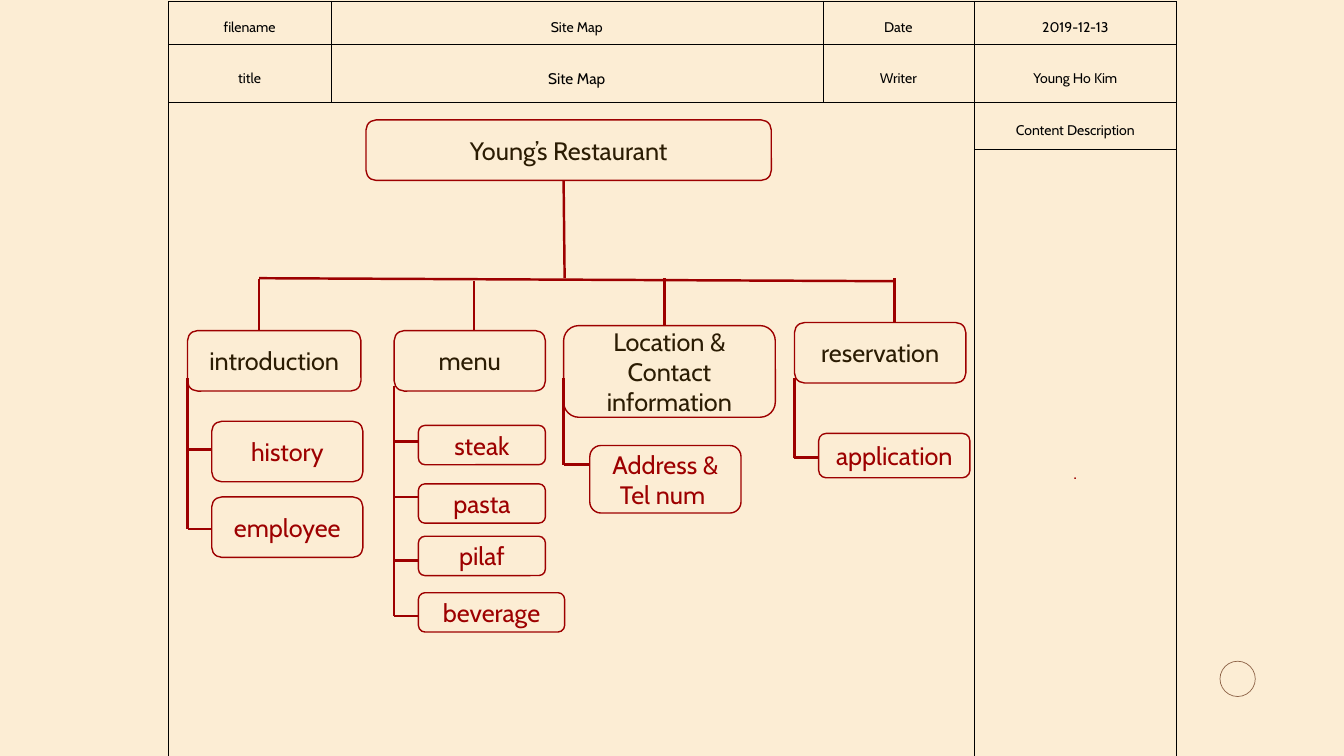
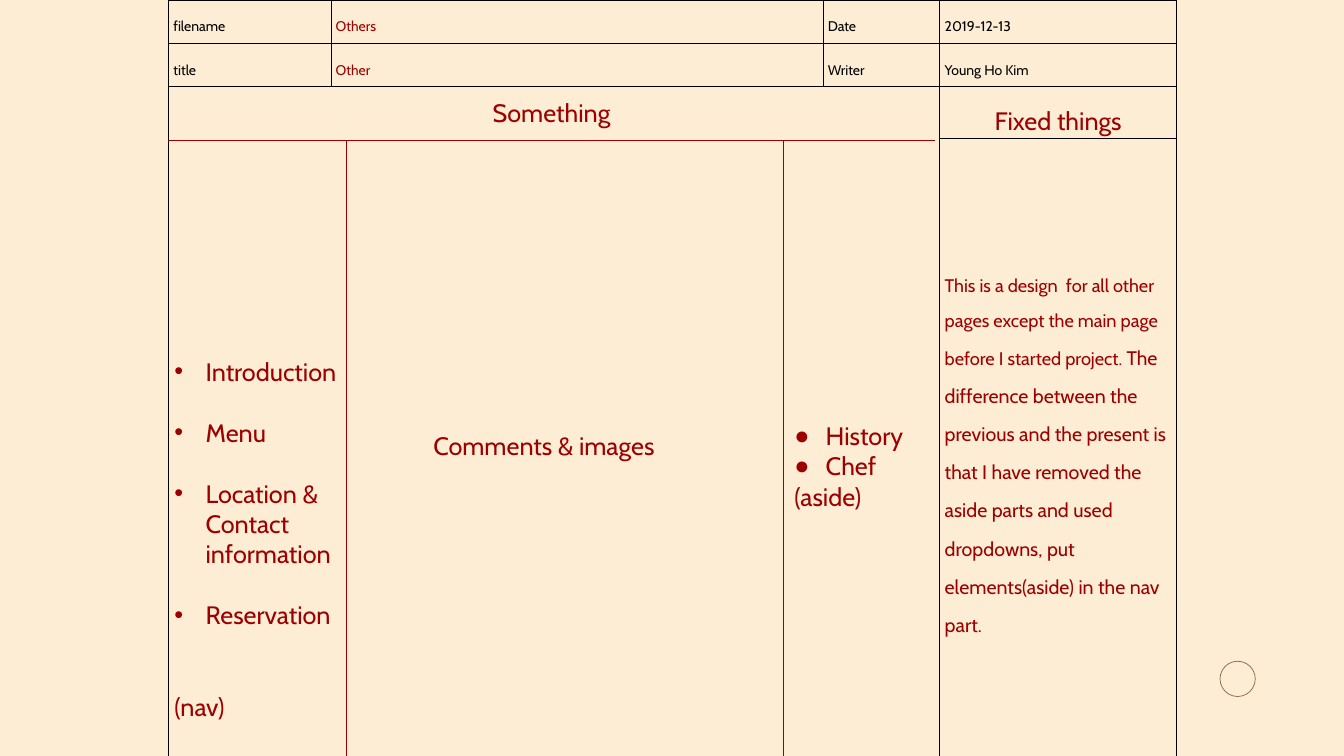
from dataclasses import dataclass

from lxml.etree import SubElement
from pptx import Presentation
from pptx.dml.color import RGBColor
from pptx.enum.shapes import MSO_CONNECTOR, MSO_SHAPE
from pptx.enum.text import MSO_ANCHOR, MSO_AUTO_SIZE, PP_ALIGN
from pptx.oxml import parse_xml
from pptx.oxml.ns import nsdecls, qn
from pptx.util import Inches, Pt

CREAM = RGBColor(0xFC, 0xED, 0xD4)
RED = RGBColor(0x9D, 0x00, 0x00)
BROWN = RGBColor(0x2B, 0x1C, 0x03)
TAN = RGBColor(0x8D, 0x63, 0x47)
BLACK = RGBColor(0x00, 0x00, 0x00)
FONT = "Cabin"
TABLE_LEFT = 1.67
BLANK_LAYOUT, TWO_CONTENT_LAYOUT = 6, 3
CHILD_INDENT = 0.24


@dataclass
class Branch:
    label: str
    box: tuple          # left, top, width, height
    drop: tuple         # x and top of the line coming from the rail
    stem_top: float
    children: list      # label, top, width, height, y of the tick
    indent: float = CHILD_INDENT


BRANCHES = [
    Branch("introduction", (1.86, 3.28, 1.72, 0.6), (2.57, 2.77), 3.75, [
        ("history", 4.18, 1.5, 0.6, 4.46),
        ("employee", 4.93, 1.5, 0.6, 5.25)]),
    Branch("menu", (3.91, 3.28, 1.5, 0.6), (4.7, 2.79), 3.83, [
        ("steak", 4.22, 1.26, 0.39, 4.38),
        ("pasta", 4.8, 1.26, 0.39, 4.93),
        ("pilaf", 5.32, 1.26, 0.39, 5.56),
        ("beverage", 5.88, 1.45, 0.39, 6.11)]),
    Branch("Location &\nContact information", (5.59, 3.23, 2.1, 0.91), (6.59, 2.76), 3.75, [
        ("Address &\nTel num ", 4.42, 1.5, 0.67, 4.61)], 0.26),
    Branch("reservation", (7.88, 3.2, 1.7, 0.6), (8.87, 2.76), 3.75, [
        ("application", 4.3, 1.5, 0.44, 4.54)]),
]


# Shared helpers
def style_span(span, size, color):
    span.font.name = FONT
    span.font.size = Pt(size)
    span.font.color.rgb = color


def style_frame(frame, color, align=PP_ALIGN.CENTER, size=18):
    frame.word_wrap = True
    for para in frame.paragraphs:
        para.alignment = align
        for span in para.runs:
            style_span(span, size, color)


def place(shape, left, top, width, height):
    shape.left, shape.top = Inches(left), Inches(top)
    shape.width, shape.height = Inches(width), Inches(height)


def add_outline(page, kind, box, color, weight):
    shape = page.shapes.add_shape(kind, *map(Inches, box))
    shape.shadow.inherit = False
    shape.fill.background()
    shape.line.color.rgb = color
    shape.line.width = Pt(weight)
    return shape


def add_line(page, start, end, weight):
    line = page.shapes.add_connector(
        MSO_CONNECTOR.STRAIGHT, *map(Inches, start + end))
    line.line.color.rgb = RED
    line.line.width = Pt(weight)
    SubElement(line._element.spPr, qn("a:effectLst"))


def add_page(deck, layout):
    page = deck.slides.add_slide(deck.slide_layouts[layout])
    add_outline(page, MSO_SHAPE.OVAL, (12.1, 6.56, 0.35, 0.35), TAN, 0.5)
    return page


# Document table: two header rows, a wide area and a side column
def add_borders(cell):
    properties = cell._tc.get_or_add_tcPr()
    for index, side in enumerate(("lnL", "lnR", "lnT", "lnB")):
        properties.insert(index, parse_xml(
            f'<a:{side} {nsdecls("a")} w="{Pt(0.28)}"><a:solidFill>'
            f'<a:srgbClr val="{BLACK}"/></a:solidFill></a:{side}>'))


def fill_cell(cell, spans, align):
    cell.vertical_anchor = MSO_ANCHOR.MIDDLE
    cell.margin_left = cell.margin_right = Inches(0.05)
    cell.margin_top = cell.margin_bottom = Inches(0.01)
    para = cell.text_frame.paragraphs[0]
    para.alignment = align
    para.line_spacing = 1.6
    for text, size, color in spans:
        span = para.add_run()
        span.text = text
        style_span(span, size, color)


def add_document_table(page, top, columns, rows, names, side, align):
    """names: spans of the file name and title; side: spans of the side column."""
    table = page.shapes.add_table(
        len(rows), len(columns), Inches(TABLE_LEFT), Inches(top),
        Inches(sum(columns)), Inches(sum(rows))).table
    table.first_row = table.horz_banding = False
    for column, width in zip(table.columns, columns):
        column.width = Inches(width)
    for row, height in zip(table.rows, rows):
        row.height = Inches(height)
    for cell in table.iter_cells():
        cell.fill.background()
        add_borders(cell)
    table.cell(2, 0).merge(table.cell(3, 2))

    labels = [("filename", "Date", "2019-12-13"), ("title", "Writer", "Young Ho Kim")]
    for row, (label, key, value) in enumerate(labels):
        texts = [(label, 10, BLACK), names[row], (key, 10, BLACK), (value, 10, BLACK)]
        for column, span in enumerate(texts):
            fill_cell(table.cell(row, column), [span], align)
    fill_cell(table.cell(2, 3), side[0], PP_ALIGN.CENTER)
    fill_cell(table.cell(3, 3), side[1], align)
    return table


# Site map
def add_node(page, label, box, color):
    node = add_outline(page, MSO_SHAPE.ROUNDED_RECTANGLE, box, RED, 1)
    node.text_frame.text = label
    node.text_frame.vertical_anchor = MSO_ANCHOR.MIDDLE
    style_frame(node.text_frame, color)


def add_branch(page, branch):
    left, top = branch.box[:2]
    add_node(page, branch.label, branch.box, BROWN)
    add_line(page, branch.drop, (branch.drop[0], top), 1.75)
    last_tick = branch.children[-1][-1]
    add_line(page, (left, branch.stem_top), (left, last_tick), 1.75)
    child_left = left + branch.indent
    for label, child_top, width, height, tick in branch.children:
        add_line(page, (child_left, tick), (left, tick), 1.75)
        add_node(page, label, (child_left, child_top, width, height), RED)


def build_site_map(deck):
    page = add_page(deck, BLANK_LAYOUT)
    table = add_document_table(
        page, 0.01, (1.61, 4.88, 1.5, 2.01), (0.43, 0.57, 0.47, 6.06),
        [("Site Map", 10, BLACK), ("Site Map", 11, BLACK)],
        [[("Content Description", 10, BLACK)], [(".", 13, RED)]],
        PP_ALIGN.CENTER)
    table.cell(3, 3).margin_top = Inches(0.24)
    add_node(page, "Young’s Restaurant", (3.63, 1.19, 4.02, 0.6), BROWN)
    add_line(page, (5.59, 1.79), (5.6, 2.76), 1.75)
    add_line(page, (8.87, 2.79), (2.57, 2.76), 1.75)
    for branch in BRANCHES:
        add_branch(page, branch)


# Page design
def set_bullet(para, symbol):
    properties = para._p.get_or_add_pPr()
    indent = Inches(0.31) if symbol else 0
    properties.set("marL", str(indent))
    properties.set("indent", str(-indent))
    if symbol:
        SubElement(properties, qn("a:buFont")).set("typeface", "Arial")
        SubElement(properties, qn("a:buChar")).set("char", symbol)
    else:
        SubElement(properties, qn("a:buNone"))


def fill_list(holder, box, items, symbol, note, item_gap=0, note_gap=0):
    place(holder, *box)
    frame = holder.text_frame
    frame.text = "\n".join(items + [note])
    frame.auto_size = MSO_AUTO_SIZE.NONE
    frame.vertical_anchor = MSO_ANCHOR.TOP
    style_frame(frame, RED, PP_ALIGN.LEFT)
    gaps = [0] + [item_gap] * (len(items) - 1) + [note_gap]
    for para, gap in zip(frame.paragraphs, gaps):
        para.space_before = Pt(gap)
        set_bullet(para, symbol)
    note_para = frame.paragraphs[-1]
    for child in list(note_para._p.pPr):
        if child.tag in (qn("a:buFont"), qn("a:buChar")):
            note_para._p.pPr.remove(child)
    set_bullet(note_para, None)


def build_page_design(deck):
    page = add_page(deck, TWO_CONTENT_LAYOUT)
    add_document_table(
        page, 0, (1.61, 4.88, 1.16, 2.35), (0.43, 0.43, 0.47, 6.18),
        [("Others", 10, RED), ("Other", 10, RED)],
        [[("Fixed things", 18, RED)],
         [("This is a design  for all other pages except the main page "
           "before I started project.", 13, RED),
          (" The difference between the previous and the present is that I have "
           "removed the aside parts and used dropdowns, put elements(aside) in "
           "the nav part.", 14, RED)]],
        PP_ALIGN.LEFT)

    # Heading and dividers
    title, nav, aside = page.placeholders
    place(title, TABLE_LEFT, 0.92, 7.6, 0.4)
    title.text_frame.text = "Something"
    title.text_frame.auto_size = MSO_AUTO_SIZE.NONE
    style_frame(title.text_frame, RED)
    add_line(page, (TABLE_LEFT, 1.39), (9.27, 1.39), 0.5)
    for x in (3.44, 7.77):
        add_line(page, (x, 1.39), (x, 7.5), 0.5)

    # Three columns
    fill_list(nav, (1.63, 3.48, 2.17, 4.02),
              ["Introduction", "Menu", "Location & Contact information", "Reservation"],
              "•", "(nav)", item_gap=22, note_gap=44)
    comments = page.shapes.add_textbox(*map(Inches, (3.96, 4.22, 2.87, 0.4)))
    comments.text_frame.text = "Comments & images"
    style_frame(comments.text_frame, RED)
    fill_list(aside, (7.78, 4.12, 1.5, 1.31), ["History", "Chef"], "●", "(aside)")


def main():
    deck = Presentation()
    deck.slide_width, deck.slide_height = Inches(13.33), Inches(7.5)
    background = deck.slide_master.background.fill
    background.solid()
    background.fore_color.rgb = CREAM
    build_site_map(deck)
    build_page_design(deck)
    deck.save("out.pptx")


if __name__ == "__main__":
    main()
